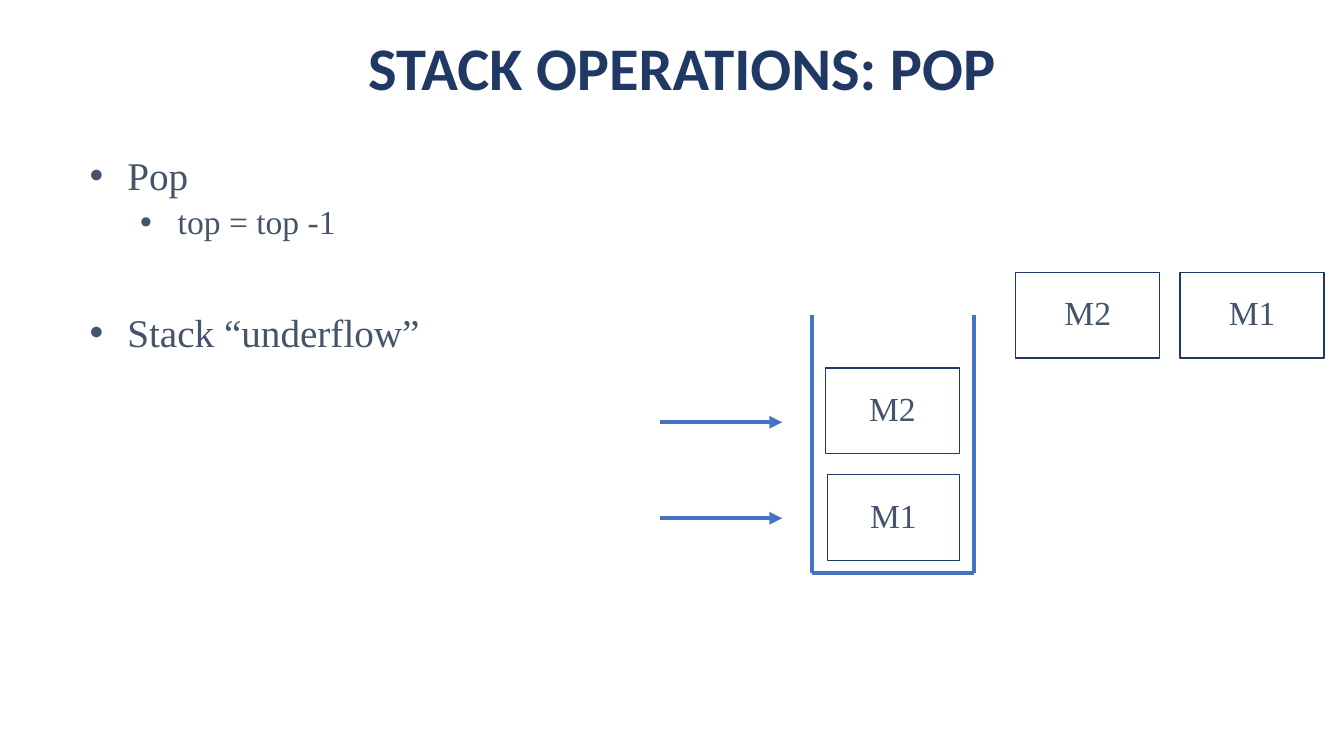
from lxml.etree import SubElement
from pptx import Presentation
from pptx.dml.color import RGBColor
from pptx.enum.shapes import MSO_CONNECTOR, MSO_SHAPE
from pptx.enum.text import MSO_ANCHOR, MSO_AUTO_SIZE, PP_ALIGN
from pptx.oxml.ns import qn
from pptx.util import Cm, Pt

NAVY, SLATE, BLUE, WHITE = "203864", "44546A", "4472C4", "FFFFFF"
SERIF = "Times New Roman"


def rgb(hex_colour):
    return RGBColor.from_string(hex_colour)


def add_run(paragraph, text, size, font, colour, bold=False):
    paragraph.line_spacing = 0.9
    run = paragraph.add_run()
    run.text = text
    run.font.size = Pt(size)
    run.font.name = font
    run.font.bold = bold
    run.font.color.rgb = rgb(colour)


def set_title(slide, text):
    title = slide.shapes.title
    title.left, title.top, title.width, title.height = Cm(2.01), Cm(0.91), Cm(30.35), Cm(1.83)
    frame = title.text_frame
    frame.auto_size = MSO_AUTO_SIZE.NONE
    frame.vertical_anchor = MSO_ANCHOR.BOTTOM
    heading = frame.paragraphs[0]
    heading.alignment = PP_ALIGN.CENTER
    add_run(heading, text, 43.2, "Calibri", NAVY, bold=True)


def add_bullets(slide, bullets):
    """Each bullet is its level, text, size and space before in points."""
    frame = slide.shapes.add_textbox(Cm(2.01), Cm(3.81), Cm(31.85), Cm(13.92)).text_frame
    frame.word_wrap = True
    for index, (level, text, size, space_before) in enumerate(bullets):
        bullet = frame.paragraphs[0] if index == 0 else frame.add_paragraph()
        bullet.level = level
        bullet.space_before = Pt(space_before)
        properties = bullet._p.get_or_add_pPr()
        properties.set("marL", str(Cm(0.95 + 1.27 * level)))
        properties.set("indent", str(-Cm(0.95)))
        SubElement(properties, qn("a:buFont"), typeface="Arial")
        SubElement(properties, qn("a:buChar"), char="•")
        add_run(bullet, text, size, SERIF, SLATE)


def add_item(slide, label, left, top, width):
    item = slide.shapes.add_shape(MSO_SHAPE.RECTANGLE, Cm(left), Cm(top), Cm(width), Cm(2.16))
    item.shadow.inherit = False
    item.fill.solid()
    item.fill.fore_color.rgb = rgb(WHITE)
    item.line.color.rgb = rgb(NAVY)
    item.line.width = Pt(1)
    item.text_frame.vertical_anchor = MSO_ANCHOR.MIDDLE
    caption = item.text_frame.paragraphs[0]
    caption.alignment = PP_ALIGN.CENTER
    add_run(caption, label, 24, SERIF, SLATE)


def add_line(slide, x1, y1, x2, y2, arrow=False):
    line = slide.shapes.add_connector(MSO_CONNECTOR.STRAIGHT, Cm(x1), Cm(y1), Cm(x2), Cm(y2))
    line.line.color.rgb = rgb(BLUE)
    line.line.width = Pt(3)
    if arrow:
        SubElement(line.line._get_or_add_ln(), qn("a:tailEnd"), type="triangle")
    SubElement(line._element.spPr, qn("a:effectLst"))


def add_stack_walls(slide, left, top, right, bottom):
    for wall in (right, left):
        add_line(slide, wall, top, wall, bottom)
    add_line(slide, right, bottom, left, bottom)


def main():
    deck = Presentation()
    deck.slide_width, deck.slide_height = Cm(33.87), Cm(19.05)
    slide = deck.slides.add_slide(deck.slide_layouts[5])
    set_title(slide, "STACK OPERATIONS: POP")
    add_bullets(slide, [
        (0, "Pop", 28, 0),
        (1, "top = top -1", 24, 5),
        (0, "Stack “underflow”", 28, 51),
    ])
    add_stack_walls(slide, 20.47, 7.95, 24.54, 14.43)
    add_item(slide, "M1", 20.85, 11.96, 3.33)
    add_item(slide, "M2", 20.8, 9.27, 3.38)
    for position, popped in enumerate(("M2", "M1")):
        add_item(slide, popped, 25.6 + 4.14 * position, 6.86, 3.63)
    for top_pointer in (10.64, 13.06):
        add_line(slide, 16.64, top_pointer, 19.71, top_pointer, arrow=True)
    deck.save("out.pptx")


if __name__ == "__main__":
    main()
